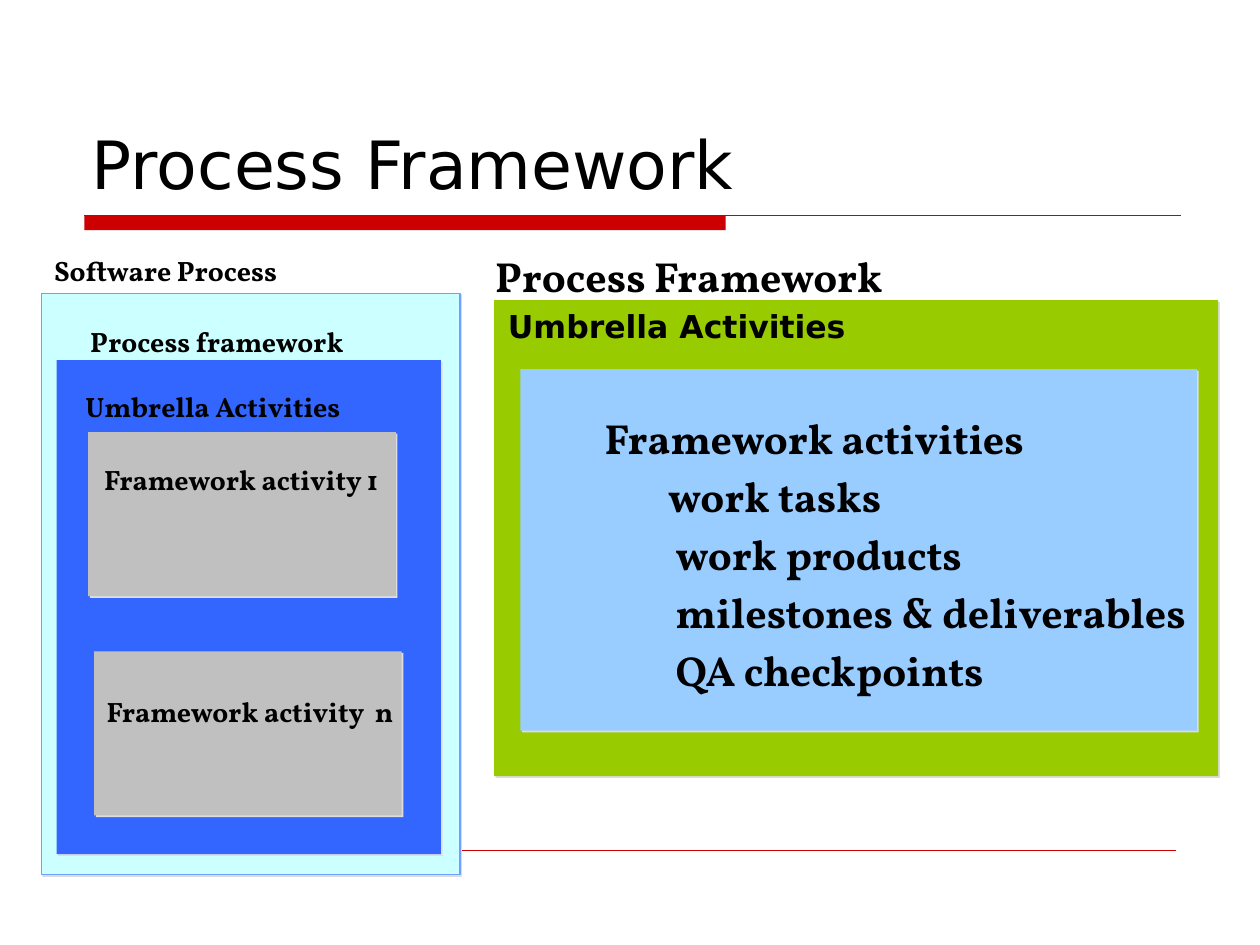
from dataclasses import dataclass

from lxml.etree import SubElement
from pptx import Presentation
from pptx.dml.color import RGBColor as RGB
from pptx.enum.shapes import MSO_CONNECTOR as CONN, MSO_SHAPE as SHAPE
from pptx.enum.text import MSO_ANCHOR as ANCHOR, PP_ALIGN as ALIGN
from pptx.oxml.ns import qn
from pptx.util import Cm, Pt


@dataclass(frozen=True)
class Theme:
    sans: str = "DejaVu Sans"
    serif: str = "Vollkorn"
    black: str = "000000"
    red: str = "CC0000"
    pale: str = "CCFFFF"
    outline: str = "70A0FF"
    blue: str = "3366FF"
    gray: str = "C0C0C0"
    green: str = "99CC00"
    sky: str = "99CCFF"
    shadow: str = "DDDDDD"
    title: int = 38
    heading: int = 24
    subheading: int = 18
    label: int = 16
    spacing: float = 1.15


T = Theme()


def style(p, size, font=T.serif, bold=True, indent=0):
    p.alignment = ALIGN.LEFT
    if indent:
        p._p.get_or_add_pPr().set("marL", str(Cm(indent)))
    for r in p.runs:
        r.font.name = font
        r.font.size = Pt(size)
        r.font.bold = bold
        r.font.color.rgb = RGB.from_string(T.black)


def add_lines(tf, lines):
    tf.word_wrap = True
    tf.text = "\n".join(text for text, *_ in lines)
    for p, (_, size, font, indent) in zip(tf.paragraphs, lines):
        p.line_spacing = T.spacing
        style(p, size, font, indent=indent)


def add_text(s, x, y, w, h, lines):
    tf = s.shapes.add_textbox(Cm(x), Cm(y), Cm(w), Cm(h)).text_frame
    add_lines(tf, lines)


def add_box(s, x, y, w, h, fill, line=None, shadow=True):
    sp = s.shapes.add_shape(SHAPE.RECTANGLE, Cm(x), Cm(y), Cm(w), Cm(h))
    sp.shadow.inherit = False
    sp.fill.solid()
    sp.fill.fore_color.rgb = RGB.from_string(fill)
    if line:
        sp.line.color.rgb = RGB.from_string(line)
        sp.line.width = Pt(1)
    else:
        sp.line.fill.background()
    if shadow:
        effects = sp._element.spPr.find(qn("a:effectLst"))
        outer = SubElement(effects, qn("a:outerShdw"), dist=str(Pt(1.4)),
                           dir="2700000", algn="ctr", rotWithShape="0")
        SubElement(outer, qn("a:srgbClr"), val=T.shadow)
    return sp


def add_rule(s, x, y, w, width):
    c = s.shapes.add_connector(CONN.STRAIGHT, Cm(x), Cm(y), Cm(x + w), Cm(y))
    c.line.color.rgb = RGB.from_string(T.red)
    c.line.width = Pt(width)
    SubElement(c._element.spPr, qn("a:effectLst"))


def add_title(s, x, y, w, h):
    sp = s.shapes.title
    sp.left, sp.top, sp.width, sp.height = Cm(x), Cm(y), Cm(w), Cm(h)
    tf = sp.text_frame
    tf.text = "Process Framework"
    tf.vertical_anchor = ANCHOR.BOTTOM
    style(tf.paragraphs[0], T.title, T.sans, bold=False)
    add_box(s, x + 0.1, y + 3.5, 12.93, 0.3, T.red, shadow=False)
    add_rule(s, x + 0.1, y + 3.5, 22.1, 0.75)


def add_process_panel(s, x, y, w, h):
    add_box(s, x, y, w, h, T.pale, T.outline)
    add_box(s, x + 0.3, y + 1.34, w - 0.68, h - 1.75, T.blue)
    for dx, dy in ((0.94, 2.79), (1.06, 7.21)):
        add_box(s, x + dx, y + dy, 6.2, 3.31, T.gray)
    labels = (
        ("Software Process", 0, -1.04),
        ("Process framework", 0.73, 0.4),
        ("Umbrella Activities", 0.63, 1.7),
        ("Framework activity 1", 1.01, 3.17),
        ("Framework activity  n", 1.06, 7.85),
    )
    for text, dx, dy in labels:
        add_text(s, x + dx, y + dy, 6.73, 1.02, [(text, T.label, T.serif, 0)])


def add_framework_panel(s, x, y, w, h):
    add_box(s, x, y, w, h, T.green)
    sp = add_box(s, x + 0.53, y + 1.39, w - 0.96, h - 2.31, T.sky)
    tf = sp.text_frame
    tf.vertical_anchor = ANCHOR.MIDDLE
    tf.margin_right = 0
    items = (
        ("Framework activities", 1.45),
        ("work tasks", 2.73),
        ("work products", 2.88),
        ("milestones & deliverables", 2.88),
        ("QA checkpoints", 2.88),
    )
    add_lines(tf, [(text, T.heading, T.serif, dx) for text, dx in items])
    add_text(s, x - 0.43, y - 1.27, w + 0.44, 2.29, [
        ("Process Framework", T.heading, T.serif, 0.2),
        ("Umbrella Activities", T.subheading, T.sans, 0.46),
    ])


def main():
    prs = Presentation()
    prs.slide_width, prs.slide_height = Cm(25.4), Cm(19.05)
    s = prs.slides.add_slide(prs.slide_layouts[5])
    add_title(s, 1.6, 0.84, 22.22, 3.38)
    add_rule(s, 1.7, 17.15, 22, 0.25)
    add_process_panel(s, 0.84, 5.92, 8.43, 11.71)
    add_framework_panel(s, 9.96, 6.05, 14.6, 9.6)
    prs.save("out.pptx")


if __name__ == "__main__":
    main()
